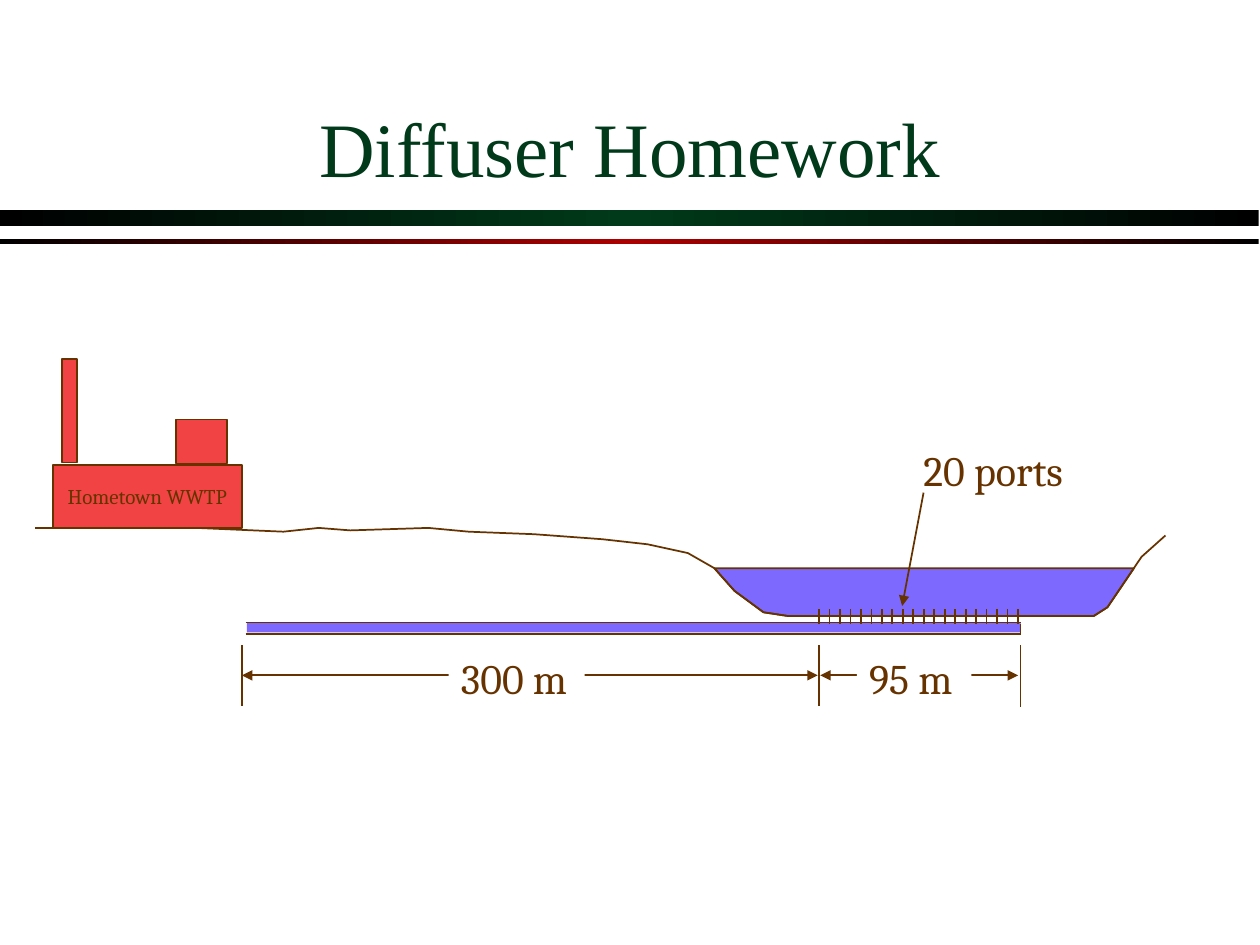
from copy import deepcopy
from dataclasses import dataclass

from lxml import etree
from pptx import Presentation
from pptx.dml.color import RGBColor
from pptx.enum.shapes import MSO_CONNECTOR, MSO_SHAPE
from pptx.enum.text import MSO_ANCHOR, MSO_AUTO_SIZE, PP_ALIGN
from pptx.oxml.ns import qn
from pptx.util import Inches, Pt


@dataclass(frozen=True)
class Theme:
    ink: str = "663300"
    water: str = "7E69FF"
    plant: str = "F14343"
    paper: str = "FFFFFF"
    black: str = "000000"
    green: str = "003A1A"
    red: str = "AC0000"
    title_font: str = "Times New Roman"
    body_font: str = "Cambria"
    title_size: int = 44
    label_size: int = 24
    plant_size: int = 12
    line_width: int = 1


THEME = Theme()

TITLE = ("Diffuser Homework", (0.75, 0.33, 8.5, 1.25))
PLANT_NAME = ("Hometown WWTP", (0.42, 3.69, 1.5, 0.5))
PLANT_TOWERS = [(1.4, 3.33, 0.4, 0.35), (0.49, 2.85, 0.12, 0.82)]
RULES = [((0, 1.67, 9.99, 0.12), THEME.green), ((0, 1.9, 9.99, 0.04), THEME.red)]

LAND = [(0.28, 4.19), (1.56, 4.19), (2.25, 4.22), (2.53, 4.19), (2.78, 4.21),
        (3.4, 4.19), (3.72, 4.22), (4.24, 4.24), (4.78, 4.28), (5.14, 4.32),
        (5.46, 4.39)]
RIVER_BED = [(5.67, 4.51), (5.83, 4.69), (6.06, 4.86), (6.26, 4.89),
             (8.68, 4.89), (8.79, 4.82)]
FAR_BANK = [(9.06, 4.42), (9.25, 4.25)]
WATER_EDGE = (9.0, 4.51)

PIPE = (1.96, 4.94, 6.14, 0.08)
PIPE_WALLS = [4.94, 5.03]
PIPE_ENDS = (1.95, 8.1)
PORT_COUNT, PORT_START, PORT_END = 20, 6.5, 8.08
PORT_BOTTOM, PORT_TOP = 4.95, 4.83

EXTENSION_LINES = [(1.92, 5.6), (6.5, 5.6), (8.1, 5.61)]
EXTENSION_TOP, DIMENSION_Y = 5.12, 5.36
DIMENSIONS = [
    ("300 m", (1.92, 6.49), (3.56, 5.13, 1.08, 0.5)),
    ("95 m", (6.51, 8.08), (6.8, 5.13, 0.91, 0.5)),
]
PORTS_LABEL = ("20 ports", (7.23, 3.48, 1.38, 0.5))
PORTS_POINTER = ((7.16, 4.81), (7.33, 3.91))

LABEL_FRAME = {"word_wrap": False, "auto_size": MSO_AUTO_SIZE.SHAPE_TO_FIT_TEXT,
               "vertical_anchor": MSO_ANCHOR.TOP}
PLANT_FRAME = {"word_wrap": False, "vertical_anchor": MSO_ANCHOR.MIDDLE}
TITLE_FRAME = {"word_wrap": True, "vertical_anchor": MSO_ANCHOR.BOTTOM}
LABEL_FONT = {"name": THEME.body_font, "size": Pt(THEME.label_size)}
PLANT_FONT = {"name": THEME.body_font, "size": Pt(THEME.plant_size)}
TITLE_FONT = {"name": THEME.title_font, "size": Pt(THEME.title_size)}


def apply(target, values):
    for attribute, value in values.items():
        setattr(target, attribute, value)


def rgb(color):
    return RGBColor.from_string(color)


def ink_line(line):
    line.color.rgb = rgb(THEME.ink)
    line.width = Pt(THEME.line_width)


def style(shape, fill=None, outlined=True):
    shape.shadow.inherit = False
    if fill:
        shape.fill.solid()
        shape.fill.fore_color.rgb = rgb(fill)
    else:
        shape.fill.background()
    if outlined:
        ink_line(shape.line)
    else:
        shape.line.fill.background()
    return shape


def add_box(shapes, box, fill, outlined=True):
    shape = shapes.add_shape(MSO_SHAPE.RECTANGLE, *map(Inches, box))
    return style(shape, fill, outlined)


def add_rule(shapes, box, middle):
    """Add a bar that fades from black to the middle colour and back."""
    bar = add_box(shapes, box, THEME.black, outlined=False)
    bar.fill.gradient()
    bar.fill.gradient_angle = 0
    stops = bar._element.spPr.find(".//" + qn("a:gsLst"))
    stops.append(deepcopy(stops[-1]))
    colors = (THEME.black, middle, THEME.black)
    for stop, position, color in zip(bar.fill.gradient_stops, (0, 0.5, 1), colors):
        stop.position = position
        stop.color.rgb = rgb(color)


def write(shape, text, frame_format, font_format, color=THEME.ink, align=PP_ALIGN.LEFT):
    frame = shape.text_frame
    apply(frame, frame_format)
    paragraph = frame.paragraphs[0]
    paragraph.alignment = align
    run = paragraph.add_run()
    run.text = text
    apply(run.font, font_format)
    run.font.color.rgb = rgb(color)
    return run


def add_text_shadow(run):
    effects = etree.Element(qn("a:effectLst"))
    shadow = etree.SubElement(effects, qn("a:outerShdw"), dist="25400", dir="2700000")
    etree.SubElement(shadow, qn("a:srgbClr"), val=THEME.black)
    run.font._element.find(qn("a:solidFill")).addnext(effects)


def add_line(shapes, start, end, arrows=()):
    """Add a line; arrows may name headEnd (at start) and tailEnd (at end)."""
    line = shapes.add_connector(MSO_CONNECTOR.STRAIGHT, *map(Inches, start + end))
    ink_line(line.line)
    for arrow in arrows:
        etree.SubElement(line.line._get_or_add_ln(), qn("a:" + arrow), type="triangle")
    etree.SubElement(line._element.spPr, qn("a:effectLst"))


def add_outline(shapes, points, fill=None):
    """Add a freeform, closed when it has a fill."""
    start, *others = [(Inches(x), Inches(y)) for x, y in points]
    builder = shapes.build_freeform(*start)
    builder.add_line_segments(others, close=fill is not None)
    style(builder.convert_to_shape(), fill)


def add_diffuser(shapes):
    left, right = PIPE_ENDS
    for y in PIPE_WALLS:
        add_line(shapes, (left, y), (right, y))
    step = (PORT_END - PORT_START) / (PORT_COUNT - 1)
    for port in range(PORT_COUNT):
        x = PORT_START + port * step
        add_line(shapes, (x, PORT_BOTTOM), (x, PORT_TOP))
    add_line(shapes, (right, PORT_BOTTOM), (right, PIPE_WALLS[-1]))


def main():
    deck = Presentation()
    deck.slide_width, deck.slide_height = Inches(10), Inches(7.5)
    shapes = deck.slides.add_slide(deck.slide_layouts[6]).shapes

    for box, middle in RULES:
        add_rule(shapes, box, middle)
    add_box(shapes, PIPE, THEME.water, outlined=False)
    title, box = TITLE
    heading = shapes.add_textbox(*map(Inches, box))
    add_text_shadow(write(heading, title, TITLE_FRAME, TITLE_FONT, THEME.green,
                          PP_ALIGN.CENTER))

    add_outline(shapes, RIVER_BED + [WATER_EDGE], THEME.water)
    add_outline(shapes, LAND + RIVER_BED + FAR_BANK)

    name, box = PLANT_NAME
    write(add_box(shapes, box, THEME.plant), name, PLANT_FRAME, PLANT_FONT,
          align=PP_ALIGN.CENTER)
    for box in PLANT_TOWERS:
        add_box(shapes, box, THEME.plant)

    for x, bottom in EXTENSION_LINES:
        add_line(shapes, (x, EXTENSION_TOP), (x, bottom))
    for length, (left, right), box in DIMENSIONS:
        add_line(shapes, (left, DIMENSION_Y), (right, DIMENSION_Y), ("headEnd", "tailEnd"))
        write(add_box(shapes, box, THEME.paper, outlined=False), length,
              LABEL_FRAME, LABEL_FONT)

    add_diffuser(shapes)
    ports, box = PORTS_LABEL
    write(shapes.add_textbox(*map(Inches, box)), ports, LABEL_FRAME, LABEL_FONT)
    add_line(shapes, *PORTS_POINTER, arrows=["headEnd"])

    deck.save("out.pptx")


if __name__ == "__main__":
    main()
